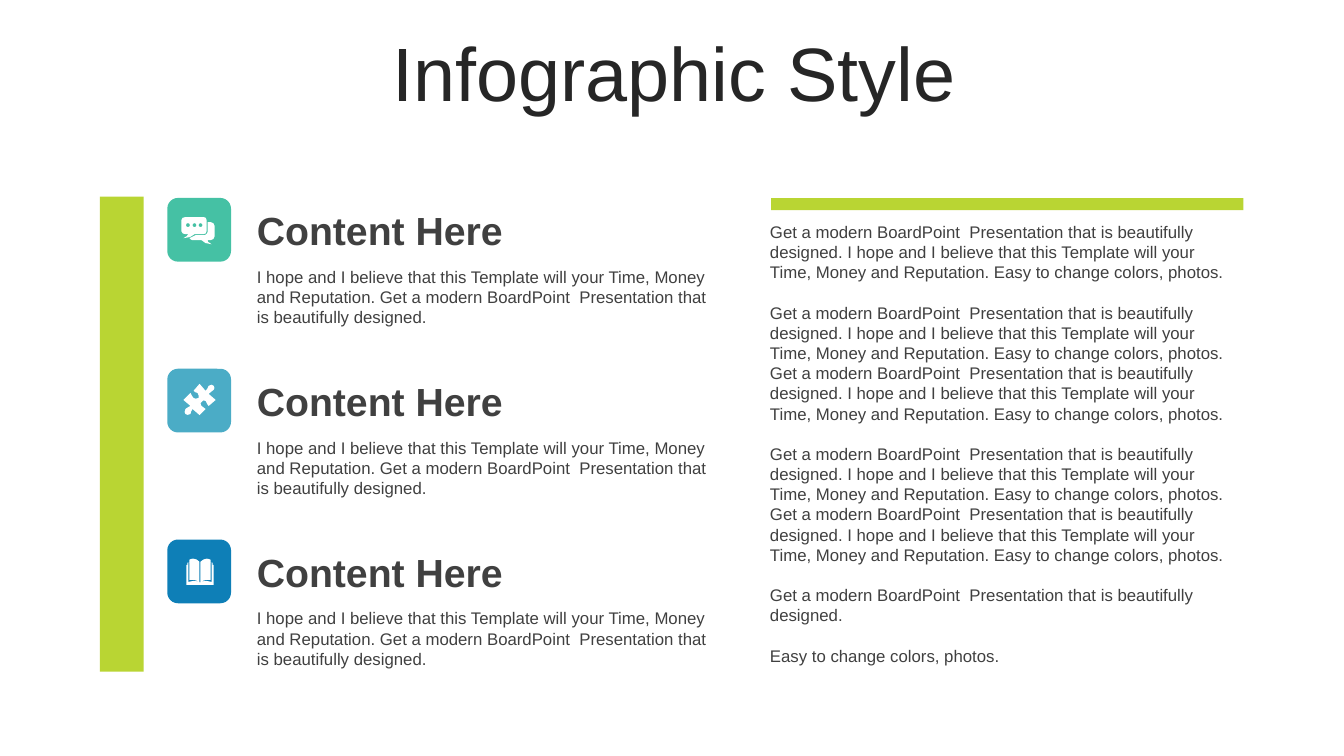
"""Build the Infographic Style slide with three icon rows and a text column."""
from pptx import Presentation
from pptx.dml.color import RGBColor
from pptx.enum.shapes import MSO_SHAPE as Shape
from pptx.enum.text import MSO_ANCHOR as Anchor, PP_ALIGN as Align
from pptx.util import Pt

GREEN, WHITE, DARK, GRAY = "B9D533", "FFFFFF", "262626", "404040"
GET = "Get a modern BoardPoint  Presentation that is beautifully designed."
HOPE = "I hope and I believe that this Template will your Time, Money and Reputation."
EASY = "Easy to change colors, photos."
FULL = f"{GET} {HOPE} {EASY}"


def paint(shape, color):
    shape.shadow.inherit = False
    shape.fill.solid()
    shape.fill.fore_color.rgb = RGBColor.from_string(color)
    shape.line.fill.background()


def add_text(box, paragraphs, size, color, bold=False, anchor=Anchor.TOP, gap=0):
    text_frame = slide.shapes.add_textbox(*map(Pt, box)).text_frame
    text_frame.word_wrap = True
    text_frame.vertical_anchor = anchor
    text_frame.text = "\n".join(paragraphs)
    for index, paragraph in enumerate(text_frame.paragraphs):
        if index:
            paragraph.space_before = Pt(gap)
        for run in paragraph.runs:
            run.font.name = "Arial"
            run.font.size = Pt(size)
            run.font.bold = bold
            run.font.color.rgb = RGBColor.from_string(color)
    return text_frame


presentation = Presentation()
presentation.slide_width, presentation.slide_height = Pt(960), Pt(540)
slide = presentation.slides.add_slide(presentation.slide_layouts[6])

title = add_text((25.7, 26.6, 911.5, 56.9), ["Infographic Style"], 54, DARK, anchor=Anchor.MIDDLE)
title.paragraphs[0].alignment = Align.CENTER
title.paragraphs[0].line_spacing = 0.9

for bar in ((71.3, 140.4, 31.3, 339.3), (550.8, 141.6, 337.4, 8.6)):
    paint(slide.shapes.add_shape(Shape.RECTANGLE, *map(Pt, bar)), GREEN)

# Each contour is a start point, then lines (x, y) and curves (six numbers).
chat_dots = [
    [(x, 25), (x - 1, 25, x - 2, 26, x - 2, 27), (x - 2, 28, x - 1, 29, x, 29),
     (x + 1, 29, x + 2, 28, x + 2, 27), (x + 2, 26, x + 1, 25, x, 25)]
    for x in (20.5, 27, 33)
]
back_bubble = [
    (40, 24), (43, 24), (45, 24, 47, 26, 47, 28), (47, 38), (47, 40, 45, 42, 43, 42),
    (40, 42), (40, 43, 40, 44, 44, 46), (38, 45, 37, 45, 34, 42), (25, 42),
    (24, 42, 23, 41, 22, 40), (24, 39, 26, 38, 28, 37), (37, 37), (38, 37, 40, 35, 40, 34),
]
front_bubble = [
    (18, 19), (36, 19), (38, 19, 39, 20, 39, 22), (39, 33), (39, 35, 38, 36, 36, 36),
    (27, 36), (24, 39, 22, 39, 16, 40), (19, 38, 20, 38, 21, 36), (18, 36),
    (16, 36, 14, 35, 14, 33), (14, 22), (14, 20, 16, 19, 18, 19),
]
puzzle = [
    (46, 17), (47, 18, 47, 20, 46, 21), (45, 23, 43, 22, 41, 25), (48, 31), (41, 37),
    (39, 36, 40, 34, 38, 32), (37, 31, 35, 31, 34, 33), (33, 33, 32, 36, 34, 37),
    (36, 39, 36, 38, 38, 40), (32, 46), (25, 40), (23, 42, 24, 43, 23, 45),
    (21, 46, 19, 46, 18, 45), (17, 44, 17, 42, 18, 40), (19, 38, 21, 39, 23, 37),
    (16, 31), (23, 24), (25, 26, 24, 28, 26, 29), (27, 30, 29, 30, 31, 29),
    (31, 28, 32, 26, 30, 24), (28, 23, 28, 24, 26, 22), (32, 15), (38, 22),
    (41, 20, 39, 19, 41, 17), (43, 15, 45, 16, 46, 17),
]
book = [
    (32, 42), (32, 43, 33, 43, 33, 42), (37, 41, 39, 40, 44, 42), (44, 23), (43, 23),
    (43, 40), (40, 39, 36, 40, 33, 42), (33, 22), (35, 20, 37, 19, 39, 19),
    (40, 19, 41, 19, 43, 20), (43, 23), (45, 23), (45, 25), (46, 25), (46, 45), (19, 45),
    (19, 25), (20, 25), (20, 23), (22, 23), (22, 20), (23, 19, 25, 19, 26, 19),
    (28, 19, 30, 20, 32, 22), (32, 42), (29, 40, 25, 39, 22, 40), (22, 23), (21, 23),
    (21, 42), (25, 40, 29, 41, 32, 42),
]
rows = [
    ("45C1A4", chat_dots + [back_bubble, front_bubble]),
    ("4BACC6", [puzzle]),
    ("0E7FB7", [book]),
]

for row, (color, contours) in enumerate(rows):
    left, top = 119.5, 141.4 + 122 * row
    tile = slide.shapes.add_shape(Shape.ROUNDED_RECTANGLE, Pt(left), Pt(top), Pt(45.5), Pt(45.5))
    paint(tile, color)
    add_text((176.4, top + 2.4, 337.7, 41), ["Content Here"], 28, GRAY, True, Anchor.MIDDLE)
    add_text((176.4, top + 45.5, 337.7, 51), [f"{HOPE} {GET}"], 12, GRAY)

    builder = slide.shapes.build_freeform(scale=Pt(0.072))
    for start, *segments in contours:
        builder.move_to(start[0] * 10, start[1] * 10)
        points = [start]
        for segment in segments:
            if len(segment) == 6:
                x0, y0 = points[-1]
                x1, y1, x2, y2, x3, y3 = segment
                points.append(((x0 + 3 * x1 + 3 * x2 + x3) / 8, (y0 + 3 * y1 + 3 * y2 + y3) / 8))
            points.append(segment[-2:])
        builder.add_line_segments([(x * 10, y * 10) for x, y in points[1:]], close=True)
    paint(builder.convert_to_shape(Pt(left), Pt(top)), WHITE)

column = [FULL, f"{FULL} {FULL}", f"{FULL} {FULL}", GET, EASY]
add_text((542.9, 154.8, 347, 327), column, 12, GRAY, gap=14.5)

presentation.save("out.pptx")
